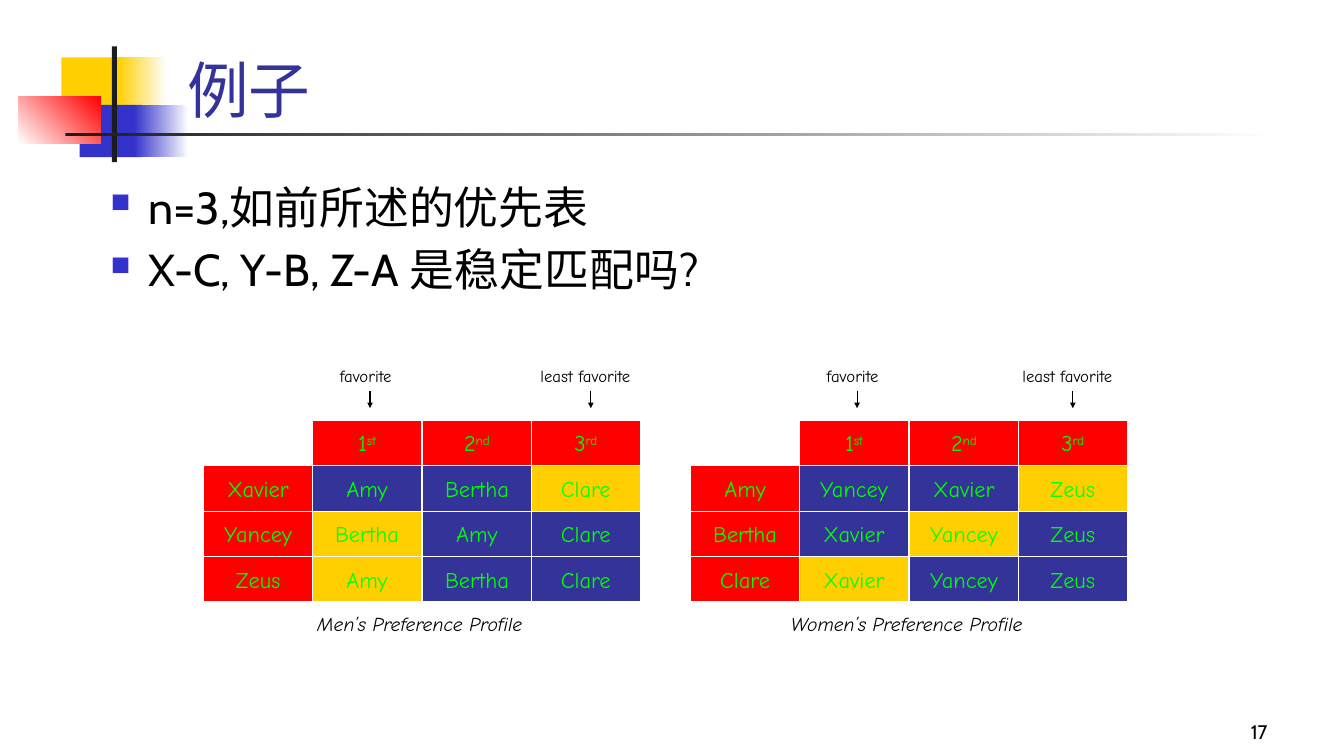
from lxml.etree import SubElement
from pptx import Presentation
from pptx.dml.color import RGBColor
from pptx.enum.shapes import MSO_CONNECTOR, MSO_SHAPE
from pptx.enum.text import MSO_ANCHOR, PP_ALIGN
from pptx.oxml.ns import qn
from pptx.util import Pt

PX = 9144
GOLD = RGBColor(0xFF, 0xCF, 0x01)
BLUE = RGBColor(0x33, 0x33, 0xCC)
NAVY = RGBColor(0x33, 0x33, 0x99)
RED = RGBColor(0xFF, 0x00, 0x00)
GREEN = RGBColor(0x00, 0xFF, 0x00)
DARK = RGBColor(0x1C, 0x1C, 0x1C)
BLACK = RGBColor(0x00, 0x00, 0x00)
WHITE = RGBColor(0xFF, 0xFF, 0xFF)
SANS = "Cabin"
COMIC = "Comic Neue"
RANKS = [("1", "st"), ("2", "nd"), ("3", "rd")]
MEN = [
    ("Xavier", "Amy", "Bertha", "Clare"),
    ("Yancey", "Bertha", "Amy", "Clare"),
    ("Zeus", "Amy", "Bertha", "Clare"),
]
WOMEN = [
    ("Amy", "Yancey", "Xavier", "Zeus"),
    ("Bertha", "Xavier", "Yancey", "Zeus"),
    ("Clare", "Xavier", "Yancey", "Zeus"),
]
PAIRS = {"Xavier": "Clare", "Yancey": "Bertha", "Zeus": "Amy"}


def scale(*nums):
    return [num * PX for num in nums]


def block(slide, *place, color, fade=None, angle=0):
    shape = slide.shapes.add_shape(MSO_SHAPE.RECTANGLE, *scale(*place))
    shape.shadow.inherit = False
    shape.line.fill.background()
    if fade is None:
        shape.fill.solid()
        shape.fill.fore_color.rgb = color
    else:
        shape.fill.gradient()
        shape.fill.gradient_angle = angle
        for stop, tint in zip(shape.fill.gradient_stops, (color, fade)):
            stop.color.rgb = tint
    return shape


def bullet(para):
    props = para._p.get_or_add_pPr()
    props.set("marL", str(37 * PX))
    props.set("indent", str(-37 * PX))
    tint = SubElement(props, qn("a:buClr"))
    SubElement(tint, qn("a:srgbClr"), val=str(BLUE))
    SubElement(props, qn("a:buSzPct"), val="60000")
    SubElement(props, qn("a:buFont"), typeface="Wingdings")
    SubElement(props, qn("a:buChar"), char="n")


def write(frame, *lines, size, face=SANS, color=BLACK, align=PP_ALIGN.LEFT,
          italic=False, marked=False, gap=0):
    for i, line in enumerate(lines):
        para = frame.add_paragraph() if i else frame.paragraphs[0]
        if marked:
            bullet(para)
        para.alignment = align
        if i:
            para.space_before = Pt(gap)
        parts = line if isinstance(line, tuple) else (line,)
        for j, part in enumerate(parts):
            run = para.add_run()
            run.text = part
            run.font.size = Pt(size)
            run.font.name = face
            run.font.color.rgb = color
            run.font.italic = italic
            if j:
                run._r.get_or_add_rPr().set("baseline", "30000")


def label(slide, *place, lines, anchor=MSO_ANCHOR.TOP, tight=False, **style):
    frame = slide.shapes.add_textbox(*scale(*place)).text_frame
    frame.word_wrap = not tight
    frame.vertical_anchor = anchor
    if tight:
        frame.margin_left = frame.margin_right = 0
        frame.margin_top = frame.margin_bottom = 0
    write(frame, *lines, **style)


def arrow(slide, x):
    line = slide.shapes.add_connector(
        MSO_CONNECTOR.STRAIGHT, *scale(x, 388, x, 405))
    line.line.color.rgb = BLACK
    line.line.width = Pt(0.75)
    props = line._element.spPr
    SubElement(props.find(qn("a:ln")), qn("a:tailEnd"), type="triangle",
               w="sm", len="sm")
    SubElement(props, qn("a:effectLst"))


def cell(slide, *place, value, color):
    shape = block(slide, *place, color=color)
    shape.line.color.rgb = WHITE
    shape.line.width = Pt(0.75)
    frame = shape.text_frame
    frame.word_wrap = False
    frame.vertical_anchor = MSO_ANCHOR.MIDDLE
    write(frame, value, size=16, face=COMIC, color=GREEN,
          align=PP_ALIGN.CENTER)


def grid(slide, left, rows, pairs):
    for i, row in enumerate([("", *RANKS), *rows]):
        for j, value in enumerate(row):
            if not value:
                continue
            if i == 0 or j == 0:
                color = RED
            else:
                color = GOLD if pairs[row[0]] == value else NAVY
            x = left + round(j * 108.4)
            cell(slide, x, 417 + 45 * i, 108, 45, value=value, color=color)


def profile(slide, left, last, title, rows, pairs):
    grid(slide, left, rows, pairs)
    label(slide, left - 2, 596, 433, 45, lines=[title], size=14, face=COMIC,
          italic=True, align=PP_ALIGN.CENTER, anchor=MSO_ANCHOR.MIDDLE)
    hints = [("favorite", left + 135, 64, 30),
             ("least favorite", last, 108, 50)]
    for text, x, width, shift in hints:
        label(slide, x, 363, width, 20, lines=[text], size=12, face=COMIC,
              tight=True)
        arrow(slide, x + shift)


def motif(slide):
    block(slide, 61, 57, 64, 52, color=GOLD)
    block(slide, 117, 57, 48, 52, color=GOLD, fade=WHITE)
    block(slide, 79, 104, 62, 52, color=BLUE)
    block(slide, 133, 104, 54, 52, color=BLUE, fade=WHITE)
    block(slide, 18, 96, 82, 46, color=WHITE, fade=RED, angle=45)
    block(slide, 111, 46, 5, 115, color=DARK)
    block(slide, 65, 132, 1200, 3, color=DARK, fade=WHITE)


def main():
    deck = Presentation()
    deck.slide_width, deck.slide_height = scale(1333, 750)
    slide = deck.slides.add_slide(deck.slide_layouts[6])
    motif(slide)
    label(slide, 989, 692, 278, 50, lines=["17"], size=14,
          align=PP_ALIGN.RIGHT, anchor=MSO_ANCHOR.BOTTOM)
    label(slide, 176, 5, 1136, 125, lines=["例子"], size=44, color=NAVY,
          anchor=MSO_ANCHOR.BOTTOM)
    label(slide, 100, 173, 1133, 450, size=32, marked=True, gap=6.4,
          lines=["n=3,如前所述的优先表", "X-C, Y-B, Z-A 是稳定匹配吗?"])
    profile(slide, 202, 536, "Men’s Preference Profile", MEN, PAIRS)
    wives = {wife: man for man, wife in PAIRS.items()}
    profile(slide, 685, 1014, "Women’s Preference Profile", WOMEN, wives)
    deck.save("out.pptx")


if __name__ == "__main__":
    main()
